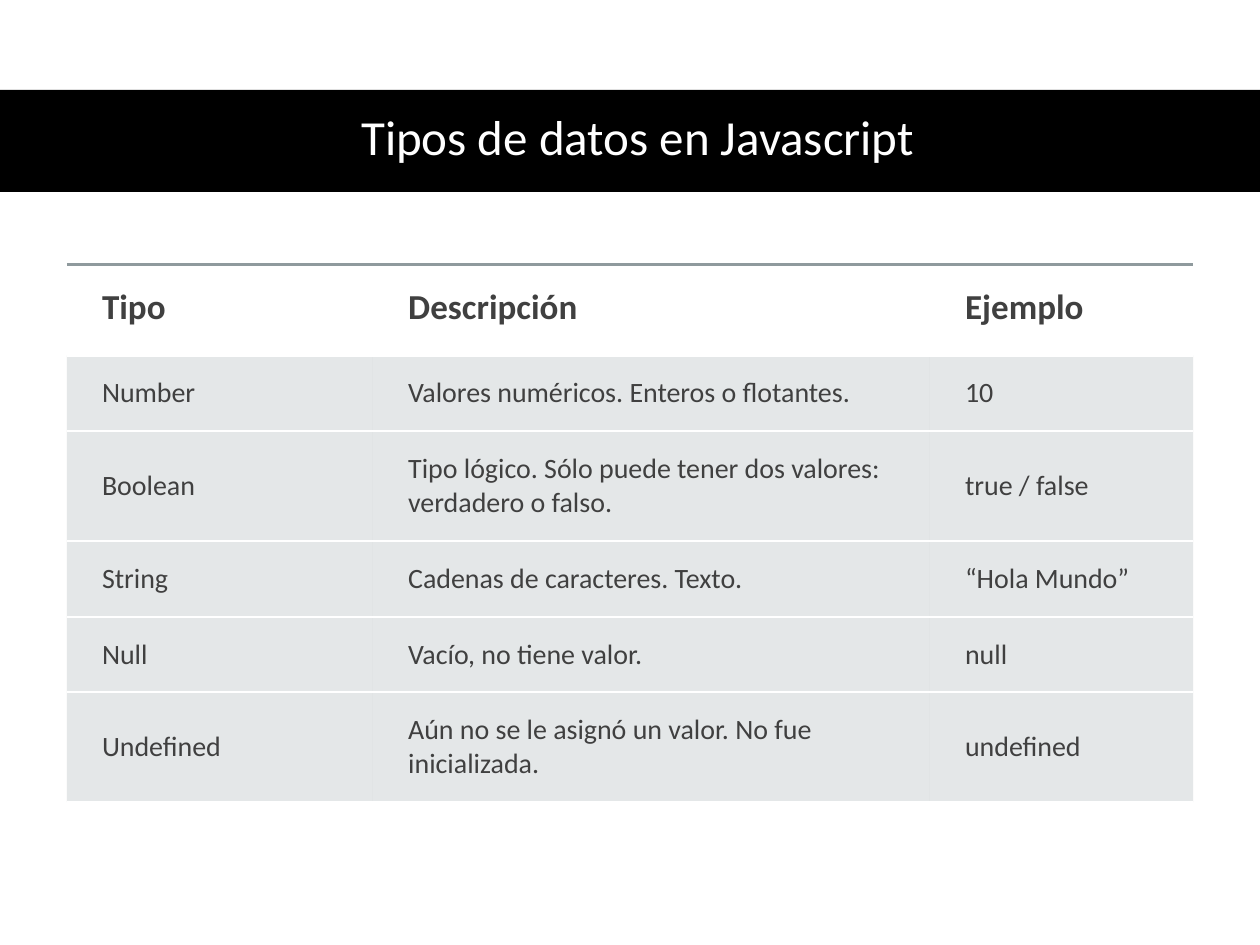
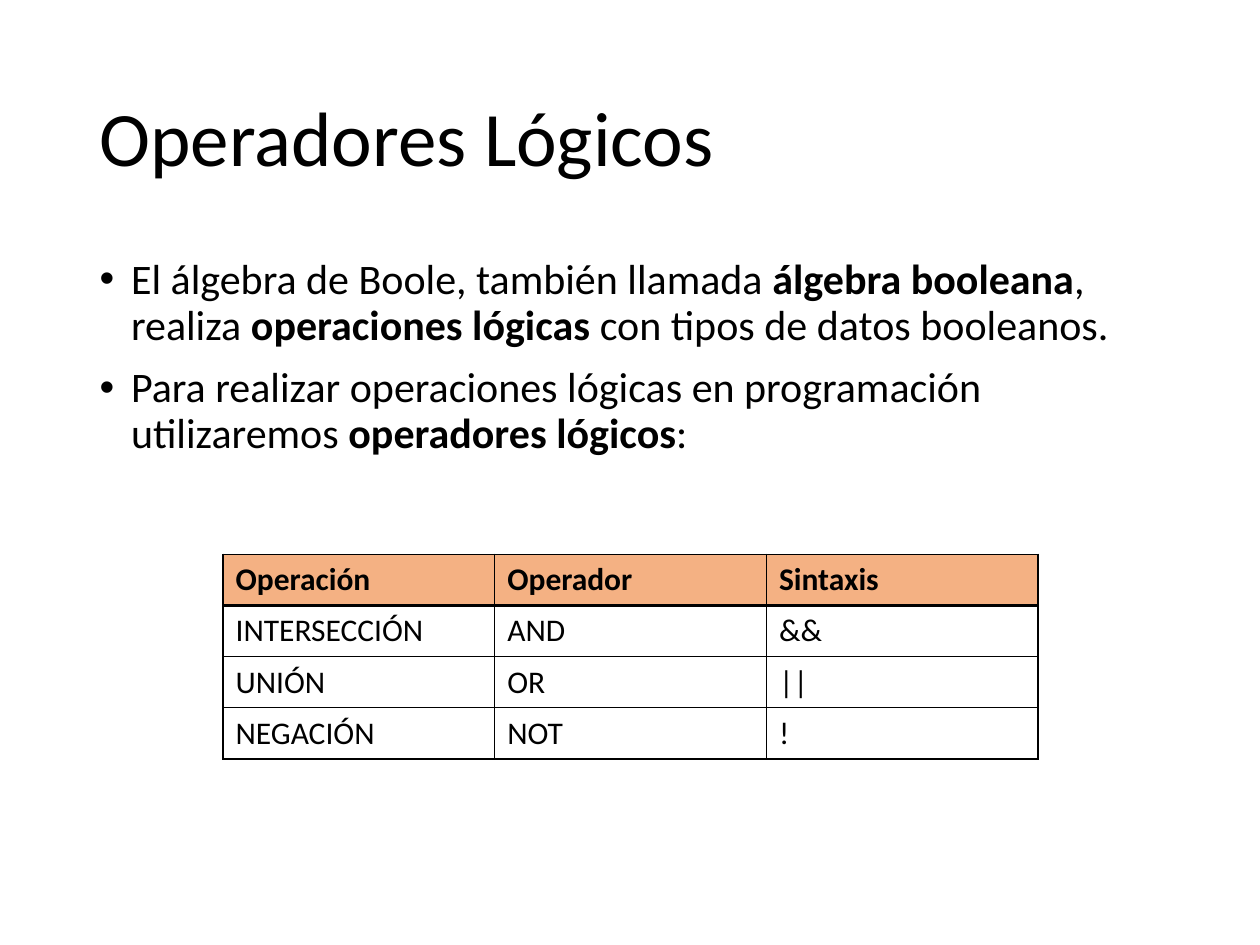
from dataclasses import dataclass
from lxml.etree import SubElement
from pptx import Presentation
from pptx.dml.color import RGBColor
from pptx.enum.shapes import MSO_SHAPE
from pptx.enum.text import MSO_ANCHOR, MSO_AUTO_SIZE, PP_ALIGN
from pptx.oxml.ns import qn
from pptx.util import Emu, Inches, Pt


@dataclass(frozen=True)
class Theme:
    font: str = "Calibri"
    black: str = "000000"
    white: str = "FFFFFF"
    ink: str = "404040"
    rule: str = "8F9A9D"
    mist: str = "B4BCBE"
    peach: str = "F4B183"
    heading: int = 44
    band_title: int = 28
    body: int = 24
    types_head: int = 20
    types_cell: int = 16
    operators: int = 18


@dataclass(frozen=True)
class Box:
    left: float
    top: float
    width: float
    height: float

    def place(self):
        return (across(self.left), down(self.top),
                across(self.width), down(self.height))


THEME = Theme()
SLIDE_WIDTH, SLIDE_HEIGHT = Inches(10), Inches(7.5)


def across(percent):
    return Emu(round(SLIDE_WIDTH * percent / 100))


def down(percent):
    return Emu(round(SLIDE_HEIGHT * percent / 100))


def write(frame, *paragraphs, size, color=THEME.black, bold=False,
          align=PP_ALIGN.LEFT, anchor=MSO_ANCHOR.TOP, spacing=1.0,
          before=0, bullet=False):
    frame.word_wrap = True
    frame.vertical_anchor = anchor
    for index, wording in enumerate(paragraphs):
        paragraph = frame.add_paragraph() if index else frame.paragraphs[0]
        paragraph.alignment = align
        paragraph.line_spacing = spacing
        paragraph.space_before = Pt(before)
        paragraph.space_after = Pt(0)
        if bullet:
            properties = paragraph._p.get_or_add_pPr()
            properties.set("marL", str(Inches(0.25)))
            properties.set("indent", str(-Inches(0.25)))
            SubElement(properties, qn("a:buFont"), typeface="Arial")
            SubElement(properties, qn("a:buChar"), char="•")
        for part, words in enumerate(wording.split("**")):
            run = paragraph.add_run()
            run.text = words
            run.font.name = THEME.font
            run.font.size = Pt(size)
            run.font.bold = bold or part % 2 == 1
            run.font.color.rgb = RGBColor.from_string(color)


def fill_placeholder(holder, box, *paragraphs, **style):
    holder.left, holder.top, holder.width, holder.height = box.place()
    write(holder.text_frame, *paragraphs, spacing=0.9, **style)
    holder.text_frame.auto_size = MSO_AUTO_SIZE.NONE


def set_alpha(solid, percent):
    SubElement(solid[0], qn("a:alpha"), val=str(percent * 1000))


def draw_borders(cell, **sides):
    properties = cell._tc.get_or_add_tcPr()
    for side in "LRTB":
        line = SubElement(properties, qn(f"a:ln{side}"))
        if side not in sides:
            SubElement(line, qn("a:noFill"))
            continue
        color, width, alpha = sides[side]
        line.set("w", str(Pt(width)))
        solid = SubElement(line, qn("a:solidFill"))
        SubElement(solid, qn("a:srgbClr"), val=color)
        if alpha < 100:
            set_alpha(solid, alpha)


def fill_cell(cell, color, alpha=100):
    cell.fill.solid()
    cell.fill.fore_color.rgb = RGBColor.from_string(color)
    if alpha < 100:
        set_alpha(cell._tc.tcPr.find(qn("a:solidFill")), alpha)


def add_grid(slide, box, rows, column_weights, row_weights, dress):
    table = slide.shapes.add_table(
        len(rows), len(column_weights), *box.place()).table
    table.first_row = table.horz_banding = False
    for column, weight in zip(table.columns, column_weights):
        column.width = across(box.width * weight / sum(column_weights))
    for row, weight in zip(table.rows, row_weights):
        row.height = down(box.height * weight / sum(row_weights))
    for r, row in enumerate(rows):
        for c, wording in enumerate(row):
            dress(table.cell(r, c), r, wording)


def dress_type_cell(cell, row, wording):
    white_rule = (THEME.white, 1.5, 100)
    header = row == 0
    pad = Inches(0.17 if header else 0.15)
    cell.margin_left = Inches(0.28)
    cell.margin_right = cell.margin_top = cell.margin_bottom = pad
    top = (THEME.rule, 1.5, 60) if header else white_rule
    draw_borders(cell, T=top, B=white_rule)
    if header:
        cell.fill.background()
    else:
        fill_cell(cell, THEME.mist, alpha=35)
    write(cell.text_frame, wording, color=THEME.ink, bold=header,
          size=THEME.types_head if header else THEME.types_cell)
    cell.vertical_anchor = MSO_ANCHOR.TOP if header else MSO_ANCHOR.MIDDLE


def dress_operator_cell(cell, row, wording):
    thin, thick = (THEME.black, 1, 100), (THEME.black, 2, 100)
    draw_borders(cell, L=thin, R=thin,
                 T=thick if row == 1 else thin,
                 B=thick if row == 0 else thin)
    fill_cell(cell, THEME.white if row else THEME.peach)
    write(cell.text_frame, wording, size=THEME.operators, bold=row == 0)
    cell.vertical_anchor = MSO_ANCHOR.MIDDLE


def add_title_band(slide, box, wording):
    band = slide.shapes.add_shape(MSO_SHAPE.RECTANGLE, *box.place())
    band.shadow.inherit = False
    band.fill.solid()
    band.fill.fore_color.rgb = RGBColor.from_string(THEME.black)
    band.line.fill.background()
    title = slide.shapes.title
    slide.shapes._spTree.append(title._element)
    fill_placeholder(title, Box(4.6, box.top - 0.1, 92, box.height), wording,
                     size=THEME.band_title, color=THEME.white,
                     align=PP_ALIGN.CENTER, anchor=MSO_ANCHOR.MIDDLE)


def build_data_types(deck):
    slide = deck.slides.add_slide(deck.slide_layouts[5])
    add_title_band(slide, Box(0, 9.5, 100, 10.8), "Tipos de datos en Javascript")
    rows = [
        ("Tipo", "Descripción", "Ejemplo"),
        ("Number", "Valores numéricos. Enteros o flotantes.", "10"),
        ("Boolean", "Tipo lógico. Sólo puede tener dos valores: "
                    "verdadero o falso.", "true / false"),
        ("String", "Cadenas de caracteres. Texto.", "“Hola Mundo”"),
        ("Null", "Vacío, no tiene valor.", "null"),
        ("Undefined", "Aún no se le asignó un valor. No fue inicializada.",
         "undefined"),
    ]
    add_grid(slide, Box(5.3, 28, 89.4, 56.9), rows, (2.43, 4.42, 2.09),
             (1.2, 1, 1.45, 1, 1, 1.45), dress_type_cell)


def build_logical_operators(deck):
    slide = deck.slides.add_slide(deck.slide_layouts[1])
    fill_placeholder(slide.shapes.title, Box(6.9, 5.33, 86.2, 19.33),
                     "Operadores Lógicos", size=THEME.heading,
                     anchor=MSO_ANCHOR.MIDDLE)
    fill_placeholder(
        slide.placeholders[1], Box(6.9, 26.67, 86.2, 63.47),
        "El álgebra de Boole, también llamada **álgebra booleana**, realiza "
        "**operaciones lógicas **con tipos de datos booleanos.",
        "Para realizar operaciones lógicas en programación utilizaremos "
        "**operadores lógicos**:",
        size=THEME.body, before=10, bullet=True)
    rows = [
        ("Operación", "Operador", "Sintaxis"),
        ("INTERSECCIÓN", "AND", "&&"),
        ("UNIÓN", "OR", "||"),
        ("NEGACIÓN", "NOT", "!"),
    ]
    add_grid(slide, Box(17.7, 58.67, 64.7, 21.6), rows, [1] * 3, [1] * 4,
             dress_operator_cell)


def main():
    deck = Presentation()
    deck.slide_width, deck.slide_height = SLIDE_WIDTH, SLIDE_HEIGHT
    build_data_types(deck)
    build_logical_operators(deck)
    deck.save("out.pptx")


main()
